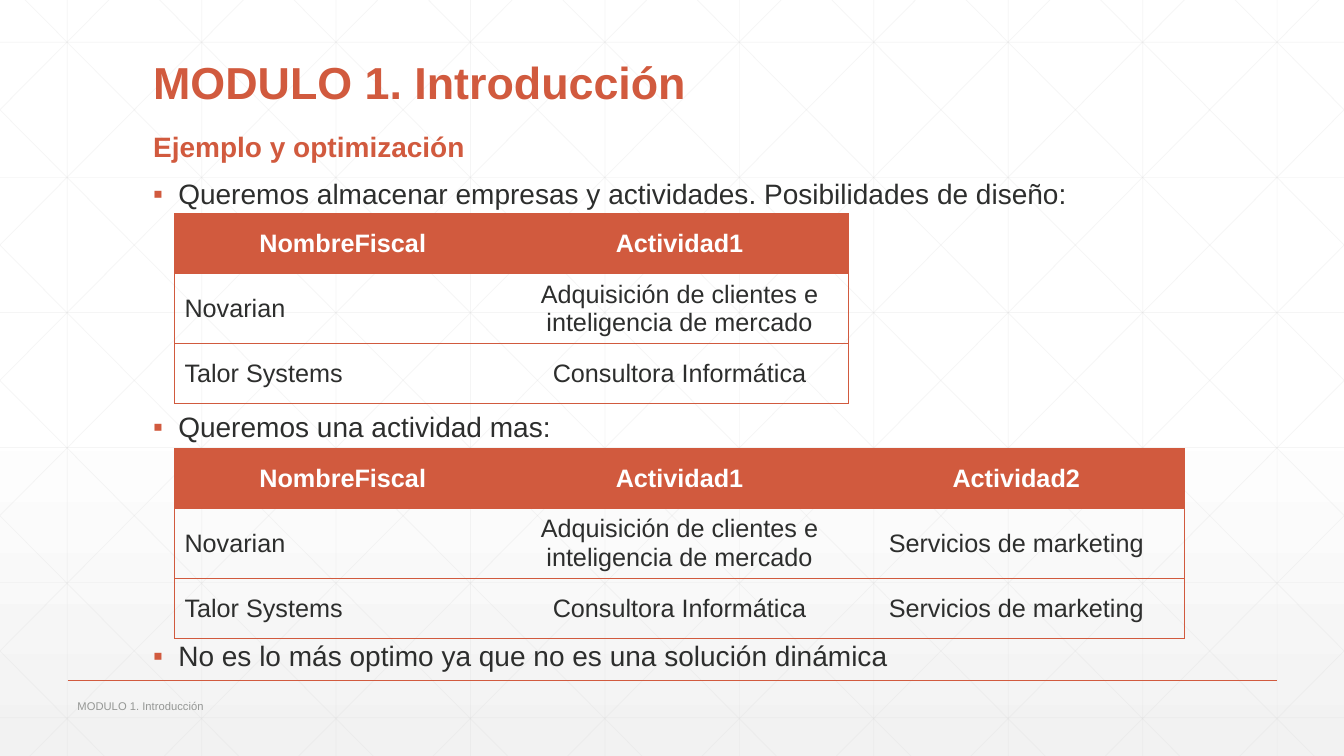
from lxml import etree
from pptx import Presentation
from pptx import util as u
from pptx.dml.color import RGBColor
from pptx.enum import shapes, text
from pptx.oxml import parse_xml
from pptx.oxml.ns import qn, nsdecls

TITLE = "MODULO 1. Introducción"
TOPIC = "Ejemplo y optimización"
POINTS = [
    (1.74, "Queremos almacenar empresas y actividades. Posibilidades de diseño:"),
    (4.05, "Queremos una actividad mas:"),
    (6.32, "No es lo más optimo ya que no es una solución dinámica"),
]
FIRMS = [
    ["NombreFiscal", "Actividad1", "Actividad2"],
    ["Novarian", "Adquisición de clientes e inteligencia de mercado", "Servicios de marketing"],
    ["Talor Systems", "Consultora Informática", "Servicios de marketing"],
]
TABLES = [(2.12, 2), (4.45, 3)]
ROWS = [0.59, 0.67, 0.59]
COL = 3.34

THEME = {
    "font": "Arial", "accent": "D15A3E", "ink": "2D2E2D", "mute": "959795",
    "white": "FFFFFF", "fade": "F2F2F2", "grid": "D9D9D9",
    "title": 32, "body": 20, "cell": 18, "foot": 8,
}
WIDE, HIGH = 13.33, 7.5
STEP = 4 / 3
RUN = 7.45
PLAIN = "{2D5ABB26-0587-4C30-8999-92F81FD0307C}"
MID = text.MSO_ANCHOR.MIDDLE
LOW = text.MSO_ANCHOR.BOTTOM

prs = Presentation()
prs.slide_width, prs.slide_height = u.Inches(WIDE), u.Inches(HIGH)
slide = prs.slides.add_slide(prs.slide_layouts[6])


def rgb(name):
    return RGBColor.from_string(THEME[name])


def write(frame, words, size="body", color="ink", bold=False, center=False,
          tight=False, bullet=False):
    frame.word_wrap = True
    para = frame.paragraphs[0]
    run = para.add_run()
    run.text = words
    font = run.font
    font.name, font.size, font.bold = THEME["font"], u.Pt(THEME[size]), bold
    font.color.rgb = rgb(color)
    para.alignment = text.PP_ALIGN.CENTER if center else text.PP_ALIGN.LEFT
    if tight:
        para.line_spacing = 0.9
    if bullet:
        para.space_before = u.Pt(18)
        props = para._p.get_or_add_pPr()
        props.set("marL", str(u.Inches(0.25)))
        props.set("indent", str(-u.Inches(0.25)))
        tint = etree.SubElement(props, qn("a:buClr"))
        etree.SubElement(tint, qn("a:srgbClr"), val=THEME["accent"])
        etree.SubElement(props, qn("a:buFont"), typeface=THEME["font"])
        etree.SubElement(props, qn("a:buChar"), char="▪")


def label(words, left, top, width, height, anchor=text.MSO_ANCHOR.TOP, **style):
    box = slide.shapes.add_textbox(*map(u.Inches, (left, top, width, height)))
    box.text_frame.vertical_anchor = anchor
    write(box.text_frame, words, **style)


def rule(x1, y1, x2, y2, color="grid", width=0.5, alpha=25):
    line = slide.shapes.add_connector(
        shapes.MSO_CONNECTOR.STRAIGHT, *map(u.Inches, (x1, y1, x2, y2)))
    line.line.color.rgb = rgb(color)
    line.line.width = u.Pt(width)
    props = line._element.spPr
    if alpha < 100:
        tint = props.find(".//" + qn("a:srgbClr"))
        etree.SubElement(tint, qn("a:alpha"), val=str(alpha * 1000))
    etree.SubElement(props, qn("a:effectLst"))


def edge(cell, side, shown):
    fill = (f'<a:solidFill><a:srgbClr val="{THEME["accent"]}"/></a:solidFill>'
            if shown else "<a:noFill/>")
    cell._tc.get_or_add_tcPr().append(parse_xml(
        f'<a:ln{side} {nsdecls("a")} w="{u.Pt(0.5)}">{fill}</a:ln{side}>'))


def table(top, cols):
    frame = slide.shapes.add_table(
        len(FIRMS), cols, u.Inches(1.73), u.Inches(top),
        u.Inches(COL * cols), u.Inches(sum(ROWS)))
    grid = frame.table
    grid.first_row = grid.horz_banding = False
    grid._tbl.tblPr.find(qn("a:tableStyleId")).text = PLAIN
    for c in range(cols):
        grid.columns[c].width = u.Inches(COL)
    for r, row in enumerate(FIRMS):
        grid.rows[r].height = u.Inches(ROWS[r])
        head = r == 0
        for c, words in enumerate(row[:cols]):
            cell = grid.cell(r, c)
            for side, shown in (("L", c == 0), ("R", c == cols - 1),
                                ("T", True), ("B", True)):
                edge(cell, side, shown)
            if head:
                cell.fill.solid()
                cell.fill.fore_color.rgb = rgb("accent")
            else:
                cell.fill.background()
            cell.vertical_anchor = MID
            write(cell.text_frame, words, size="cell", bold=head,
                  color="white" if head else "ink", center=head or c > 0)


def backdrop():
    fill = slide.background.fill
    fill.gradient()
    fill.gradient_angle = 270
    for stop, spot, name in zip(fill.gradient_stops, (0.53, 1), ("white", "fade")):
        stop.position = spot
        stop.color.rgb = rgb(name)
    for i in range(10):
        x = STEP * (i + 0.5)
        rule(x, 0, x, HIGH)
    for i in range(6):
        y = 0.42 + 1.34 * i
        rule(0, y, WIDE, y)
    for i in range(-5, 10):
        base = 0.25 + STEP * i
        x1, x2 = max(base, 0), min(base + RUN, WIDE)
        y1, y2 = ((x - base) * HIGH / RUN for x in (x1, x2))
        rule(x1, y1, x2, y2)
        rule(WIDE - x1, y1, WIDE - x2, y2)


backdrop()
rule(0.67, 6.75, 12.67, 6.75, color="accent", width=1, alpha=100)
label(TITLE, 0.67, 6.88, 6.7, 0.24, MID, size="foot", color="mute")
label(TITLE, 1.42, 0.43, 10.5, 0.7, LOW, size="title", color="accent", bold=True, tight=True)
label(TOPIC, 1.42, 0.97, 10.5, 0.7, LOW, color="accent", bold=True, tight=True)
for top, words in POINTS:
    label(words, 1.42, top, 10.5, 0.55, tight=True, bullet=True)
for top, cols in TABLES:
    table(top, cols)

prs.save("out.pptx")
